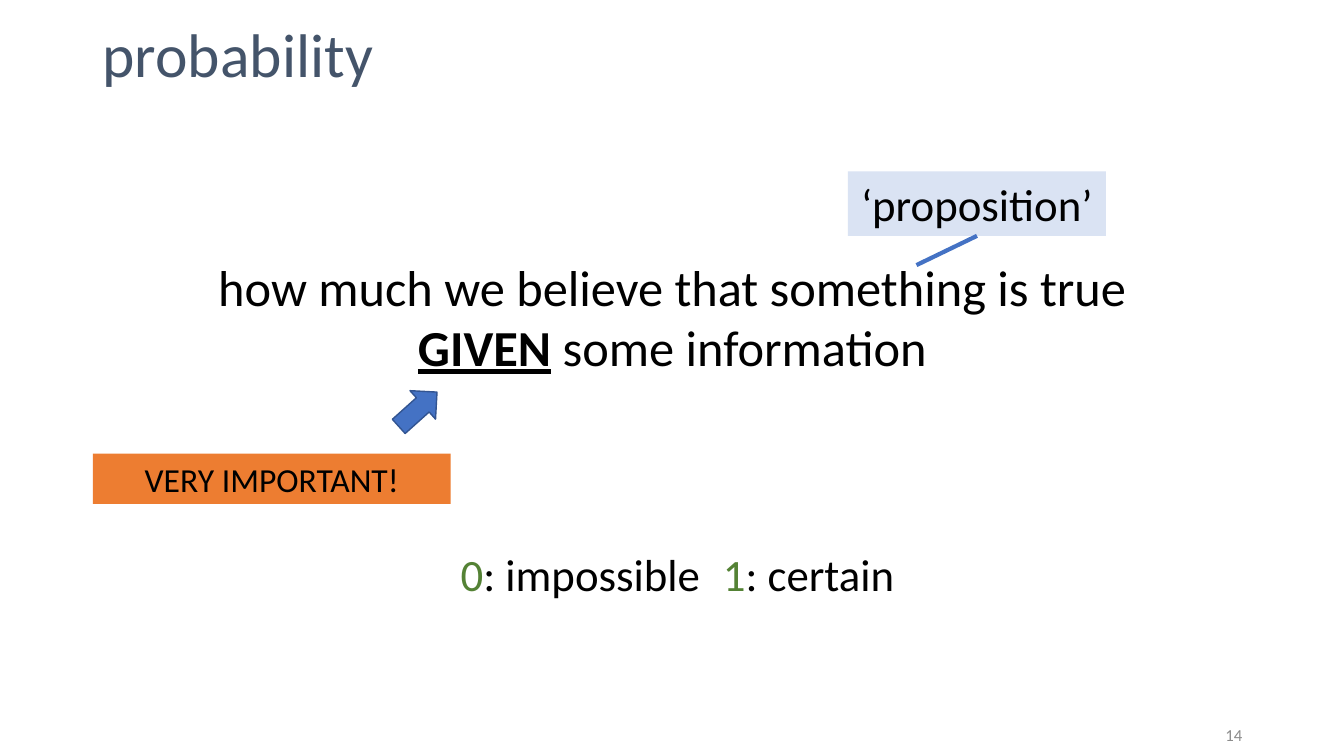
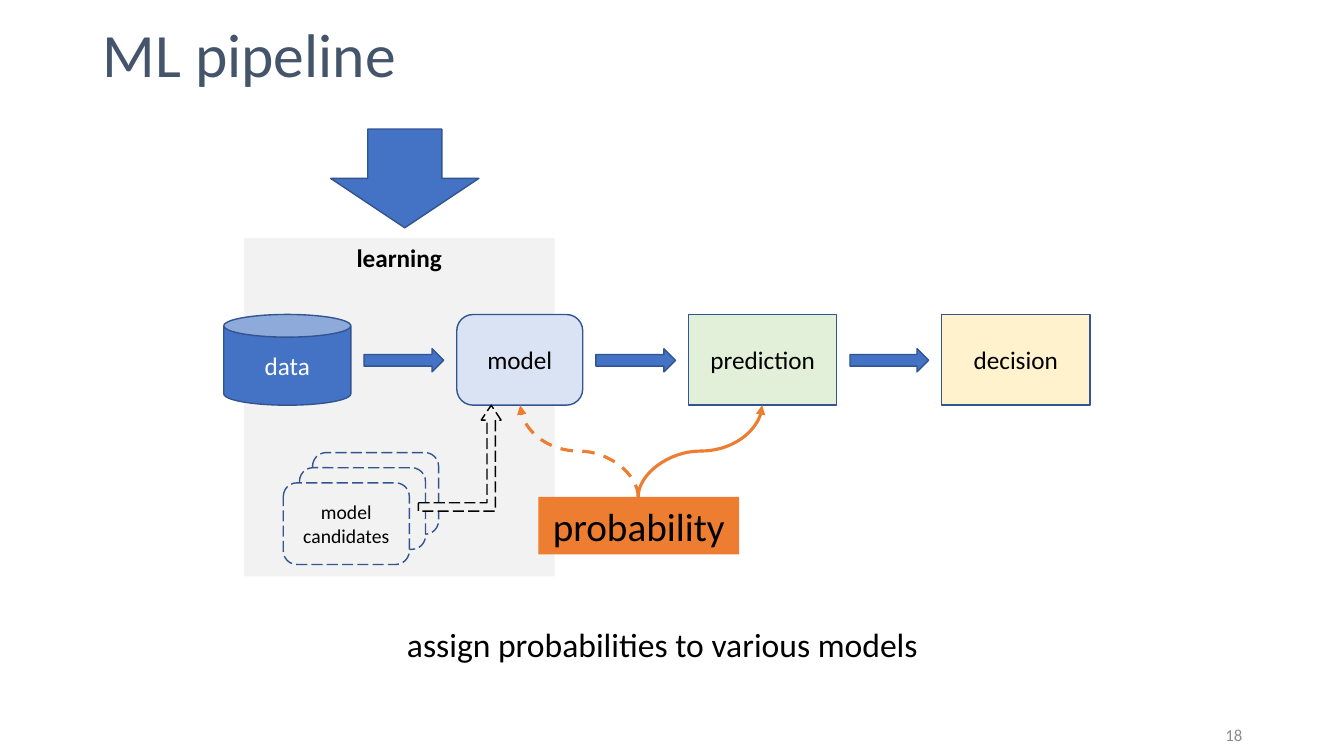
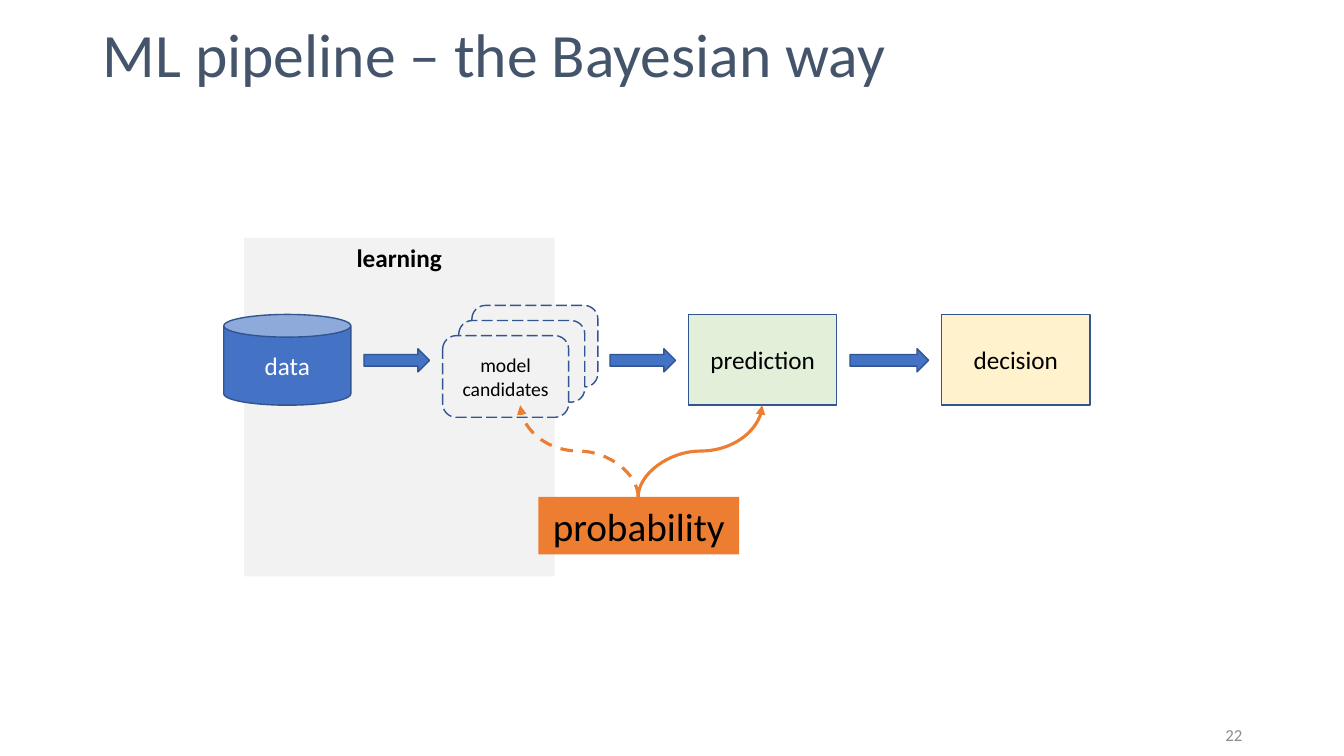
from pptx import Presentation
from pptx import util as u
from pptx.dml.color import RGBColor
from pptx.enum import dml, shapes, text
from pptx.oxml.ns import qn
from lxml import etree

S = shapes.MSO_SHAPE
LINK = shapes.MSO_CONNECTOR
A = text.PP_ALIGN
V = text.MSO_ANCHOR
DASH = dml.MSO_LINE

BLACK, WHITE, SLATE, GREY = "000000", "FFFFFF", "44546A", "8C8C8C"
BLUE, EDGE, PALE, MIST = "4472C4", "325491", "DAE3F3", "F2F2F2"
ORANGE, GREEN, MINT, CREAM = "ED7D31", "548235", "E2F0D9", "FFF2CC"

ROW, HIGH, GAP = 3.12, 0.9, 0.13


def rgb(code):
    return RGBColor.from_string(code)


class Deck:
    font = "Calibri"

    def __init__(self):
        self.prs = Presentation()
        self.prs.slide_width = u.Inches(13.33)
        self.prs.slide_height = u.Inches(7.5)

    def page(self, title, number):
        self.slide = self.prs.slides.add_slide(self.prs.slide_layouts[6])
        head = self.label([title], 0.92, 0.02, 11.5, 1.11, 44, SLATE, A.LEFT)
        head.text_frame.paragraphs[0].line_spacing = 0.9
        self.label([number], 9.42, 7.09, 3, 0.4, 12, GREY, A.RIGHT)

    def fill_text(self, shape, lines, size, color, align=A.CENTER, anchor=V.MIDDLE, bold=None):
        frame = shape.text_frame
        frame.word_wrap = True
        frame.vertical_anchor = anchor
        for i, line in enumerate(lines):
            para = frame.paragraphs[0] if i == 0 else frame.add_paragraph()
            para.alignment = align
            para.font.name = self.font
            para.font.size = u.Pt(size)
            para.font.bold = bold
            para.font.color.rgb = rgb(color)
            for part in [line] if isinstance(line, str) else line:
                words, tint, strong = (part, color, False) if isinstance(part, str) else part
                run = para.add_run()
                run.text = words
                if tint != color:
                    run.font.color.rgb = rgb(tint)
                if strong:
                    run.font.bold = run.font.underline = True

    def label(self, lines, x, y, w, h, size, color=BLACK, align=A.CENTER):
        box = self.slide.shapes.add_textbox(*map(u.Inches, (x, y, w, h)))
        self.fill_text(box, lines, size, color, align)
        return box

    def shape(self, kind, x, y, w, h, fill, line=EDGE, dash=None, adj=(), turn=0):
        item = self.slide.shapes.add_shape(kind, *map(u.Inches, (x, y, w, h)))
        item.shadow.inherit = False
        item.fill.solid()
        item.fill.fore_color.rgb = rgb(fill)
        if line:
            item.line.color.rgb = rgb(line)
            item.line.width = u.Pt(1)
            if dash:
                item.line.dash_style = dash
        else:
            item.line.fill.background()
        for i, value in enumerate(adj):
            item.adjustments[i] = value
        item.rotation = turn
        return item

    def box(self, words, x, y, w, h, fill, size=18, color=BLACK, kind=S.RECTANGLE,
            anchor=V.MIDDLE, bold=None, **style):
        item = self.shape(kind, x, y, w, h, fill, **style)
        self.fill_text(item, [words], size, color, anchor=anchor, bold=bold)

    def link(self, kind, x1, y1, x2, y2, color, width, dash=None):
        item = self.slide.shapes.add_connector(kind, *map(u.Inches, (x1, y1, x2, y2)))
        item.line.color.rgb = rgb(color)
        item.line.width = u.Pt(width)
        if dash:
            item.line.dash_style = dash
        etree.SubElement(item._element.spPr, qn("a:effectLst"))
        return item

    def curve(self, x1, y1, x2, y2, dash=None):
        mx, my = (x1 + x2) / 2, (y1 + y2) / 2
        dx, dy = x1 - mx, y1 - my
        item = self.link(LINK.CURVE, mx + dy, my - dx, mx - dy, my + dx, ORANGE, 2.25, dash)
        props = item._element.spPr
        props.find(qn("a:xfrm")).set("rot", str(90 * 60000))
        etree.SubElement(props.find(qn("a:ln")), qn("a:tailEnd"), type="triangle")

    def flow(self, left, right):
        self.box("learning", 2.42, 2.36, 3.08, 3.36, MIST, anchor=V.TOP, bold=True, line=None)
        self.box("data", 2.22, ROW, 1.26, HIGH, BLUE, color=WHITE, kind=S.CAN)
        self.box("prediction", 6.83, ROW, 1.47, HIGH, MINT)
        self.box("decision", 9.34, ROW, 1.47, HIGH, CREAM)
        for start, end in ((3.48, left), (right, 6.83), (8.3, 9.34)):
            self.shape(S.RIGHT_ARROW, start + GAP, 3.46, end - start - 2 * GAP, 0.23, BLUE)

    def stack(self, x, y):
        style = dict(fill=MIST, dash=DASH.LONG_DASH)
        for dx, dy in ((0.29, 0.3), (0.16, 0.15)):
            self.shape(S.ROUNDED_RECTANGLE, x + dx, y - dy, 1.25, 0.81, **style)
        self.box("model candidates", x, y, 1.25, 0.81, size=14, kind=S.ROUNDED_RECTANGLE, **style)

    def chance(self):
        self.box("probability", 5.34, 4.93, 1.99, 0.57, ORANGE, 28, line=None)
        self.curve(6.33, 4.93, 7.56, 4.02)
        self.curve(6.33, 4.93, 5.16, 4.02, DASH.DASH)


def main():
    deck = Deck()

    deck.page("probability", "14")
    deck.label(["how much we believe that something is true",
                [("GIVEN", BLACK, True), " some information"]], 0.92, 2.54, 11.5, 1.2, 36)
    deck.label([[("0", GREEN, False), ": impossible\t ", ("1", GREEN, False), ": certain"]],
               3.58, 5.37, 6.28, 0.64, 32)
    deck.box("VERY IMPORTANT!", 0.92, 4.5, 3.55, 0.5, ORANGE, 24, line=None)
    deck.shape(S.RIGHT_ARROW, 3.89, 3.87, 0.51, 0.38, BLUE, turn=318.1)
    deck.box("‘proposition’", 8.41, 1.7, 2.56, 0.64, PALE, 32, line=None)
    deck.link(LINK.STRAIGHT, 9.69, 2.34, 9.09, 2.63, BLUE, 3)

    deck.page("ML pipeline", "18")
    deck.flow(4.53, 5.78)
    deck.box("model", 4.53, ROW, 1.25, HIGH, PALE, kind=S.ROUNDED_RECTANGLE, adj=[0.18])
    deck.stack(2.81, 4.79)
    deck.shape(S.BENT_UP_ARROW, 4.15, 4.02, 0.82, 1.05, MIST, BLACK, DASH.LONG_DASH,
               (0.1, 0.12, 0.18))
    deck.chance()
    deck.shape(S.DOWN_ARROW, 3.28, 1.28, 1.47, 0.98, BLUE)
    deck.label(["assign probabilities to various models"], 2.69, 6.14, 7.76, 0.5, 24)

    deck.page("ML pipeline – the Bayesian way", "22")
    deck.flow(4.39, 5.92)
    deck.stack(4.39, 3.33)
    deck.chance()

    deck.prs.save("out.pptx")


if __name__ == "__main__":
    main()
